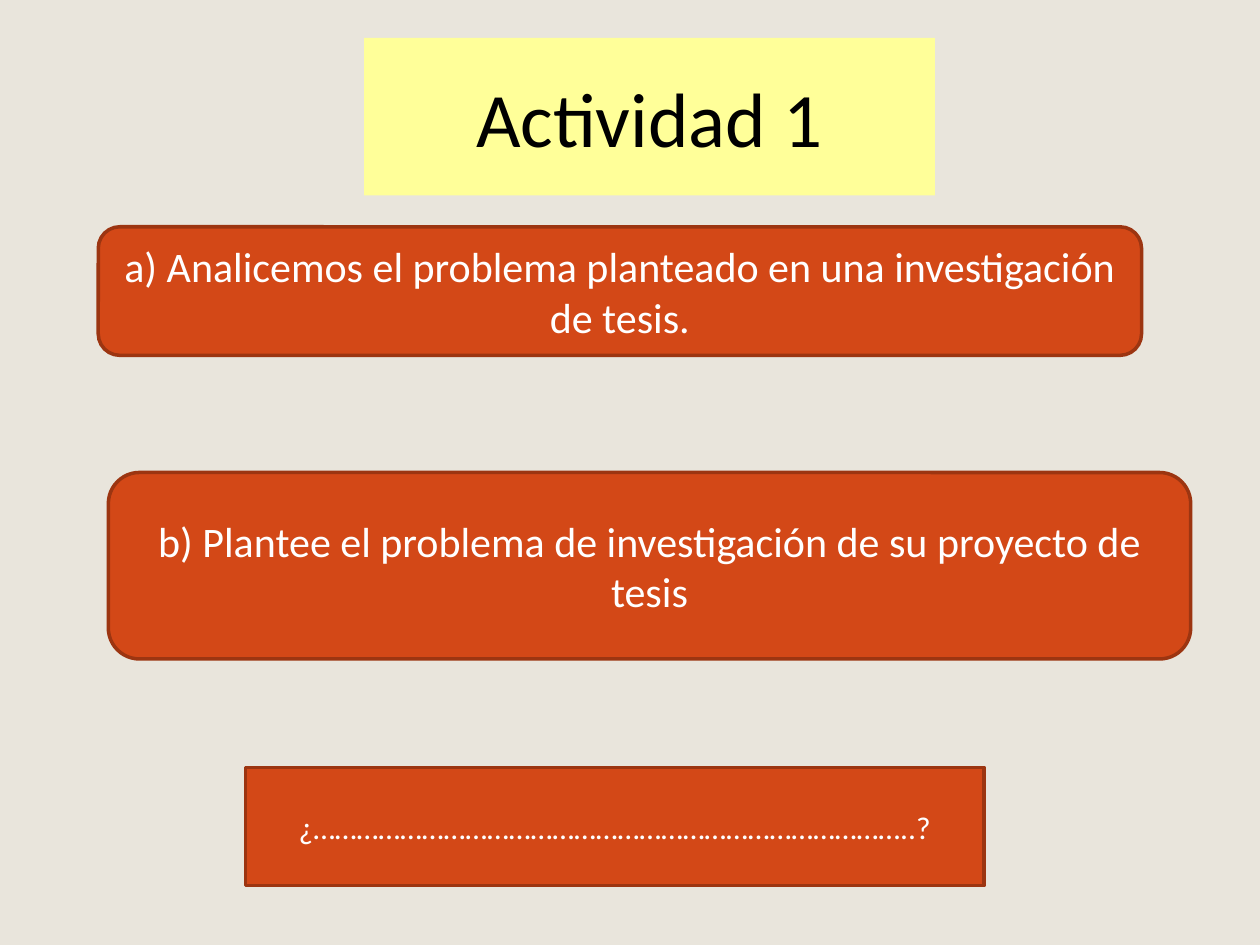
from dataclasses import dataclass

from pptx import Presentation
from pptx.dml.color import RGBColor
from pptx.enum import shapes, text
from pptx.util import Inches, Pt


@dataclass(frozen=True)
class Theme:
    font: str = "Calibri"
    background: str = "E9E5DC"
    title_fill: str = "FFFF99"
    title_color: str = "000000"
    box_fill: str = "D34817"
    box_line: str = "9C3511"
    box_color: str = "FFFFFF"
    title_size: int = 44
    task_size: int = 24
    answer_size: int = 18
    line_width: int = 2


@dataclass(frozen=True)
class Box:
    content: str
    left: float
    top: float
    width: float
    height: float
    size: int
    kind: shapes.MSO_SHAPE = shapes.MSO_SHAPE.ROUNDED_RECTANGLE


THEME = Theme()
TITLE = Box("Actividad 1", 2.89, 0.3, 4.53, 1.25, THEME.title_size)
BOXES = [
    Box("a) Analicemos el problema planteado en una investigación de tesis.",
        0.78, 1.8, 8.28, 1.02, THEME.task_size),
    Box("b) Plantee el problema de investigación de su proyecto de tesis",
        0.86, 3.75, 8.59, 1.48, THEME.task_size),
    Box("¿………………………………………………………………………..?",
        1.95, 6.09, 5.86, 0.94, THEME.answer_size, shapes.MSO_SHAPE.RECTANGLE),
]


def set_fill(fill, color: str) -> None:
    fill.solid()
    fill.fore_color.rgb = RGBColor.from_string(color)


def write_text(shape, content: str, *, size: int, color: str) -> None:
    frame = shape.text_frame
    frame.word_wrap = True
    frame.auto_size = text.MSO_AUTO_SIZE.NONE
    frame.vertical_anchor = text.MSO_ANCHOR.MIDDLE
    paragraph = frame.paragraphs[0]
    paragraph.alignment = text.PP_ALIGN.CENTER
    run = paragraph.add_run()
    run.text = content
    run.font.name = THEME.font
    run.font.size = Pt(size)
    run.font.color.rgb = RGBColor.from_string(color)


def draw_title(slide, title: Box) -> None:
    shape = slide.shapes.title
    shape.left, shape.top = Inches(title.left), Inches(title.top)
    shape.width, shape.height = Inches(title.width), Inches(title.height)
    set_fill(shape.fill, THEME.title_fill)
    write_text(shape, title.content, size=title.size, color=THEME.title_color)


def draw_box(slide, box: Box) -> None:
    shape = slide.shapes.add_shape(
        box.kind, Inches(box.left), Inches(box.top), Inches(box.width), Inches(box.height))
    shape.shadow.inherit = False
    set_fill(shape.fill, THEME.box_fill)
    set_fill(shape.line.fill, THEME.box_line)
    shape.line.width = Pt(THEME.line_width)
    write_text(shape, box.content, size=box.size, color=THEME.box_color)


def main() -> None:
    presentation = Presentation()
    presentation.slide_width, presentation.slide_height = Inches(10), Inches(7.5)
    slide = presentation.slides.add_slide(presentation.slide_layouts.get_by_name("Title Only"))
    set_fill(slide.background.fill, THEME.background)
    draw_title(slide, TITLE)
    for box in BOXES:
        draw_box(slide, box)
    presentation.save("out.pptx")


if __name__ == "__main__":
    main()
